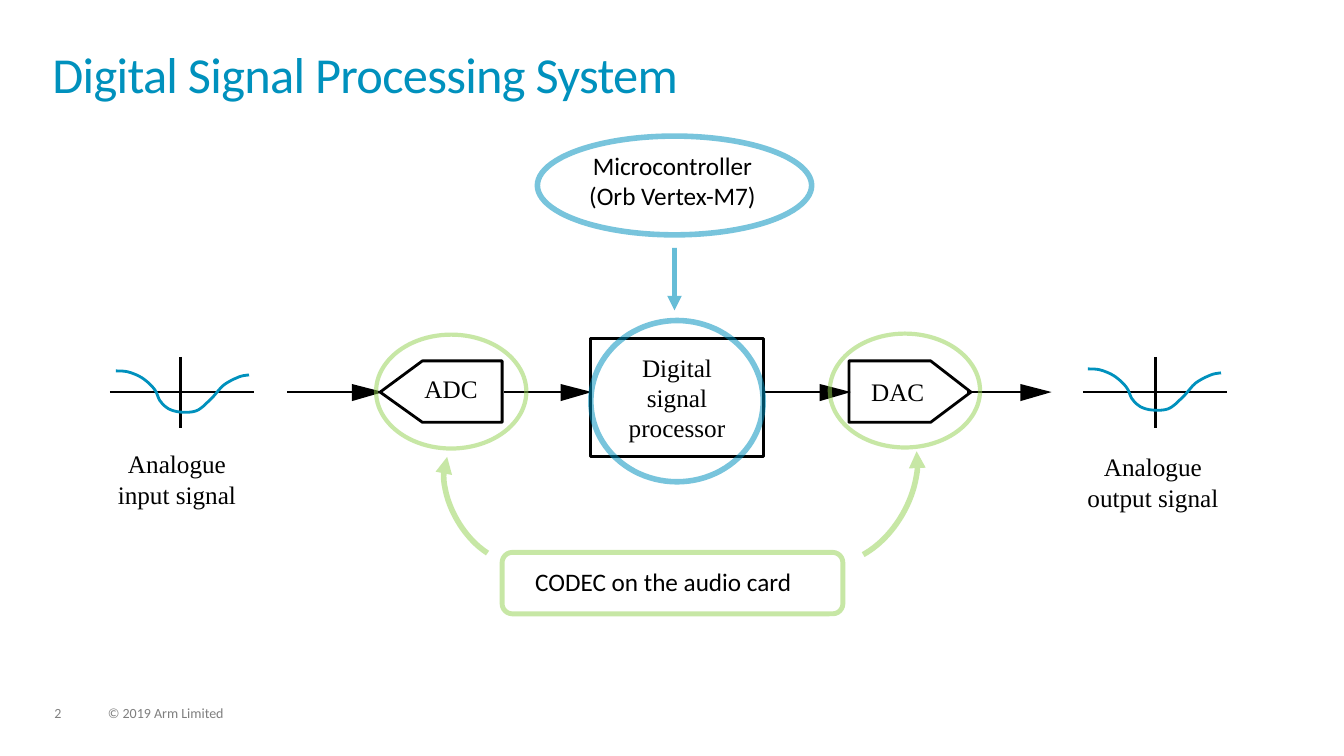
from lxml import etree
from pptx import Presentation
from pptx.dml.color import RGBColor
from pptx.enum import shapes, text
from pptx.oxml.ns import qn
from pptx.util import Inches, Pt

BLUE = RGBColor(0x00, 0x91, 0xBD)
GREEN = RGBColor(0x92, 0xD0, 0x50)
BLACK = RGBColor(0, 0, 0)
WHITE = RGBColor(0xFF, 0xFF, 0xFF)
GREY = RGBColor(0x7F, 0x7F, 0x7F)
SANS, SERIF = "Calibri", "Times New Roman"
CENTER = text.PP_ALIGN.CENTER
PRESET = shapes.MSO_SHAPE

FLOW_Y = 3.89
UNITS = 1000  # freeform units per inch
WAVE_KNOTS = [(0, 0), (.12, .01), (.26, .07), (.38, .18), (.44, .30), (.53, .38),
              (.66, .41), (.81, .39), (.95, .27), (1.07, .14), (1.22, .06), (1.32, .04)]


def style_line(shape, color, width, opacity=100, head=None):
    """Set the outline; head is "headEnd" or "tailEnd" for an arrow at that end."""
    shape.line.color.rgb = color
    shape.line.width = Pt(width)
    line = shape.line._get_or_add_ln()
    if opacity < 100:
        tint = line.find(".//" + qn("a:srgbClr"))
        etree.SubElement(tint, qn("a:alpha"), val=str(opacity * 1000))
    if head:
        etree.SubElement(line, qn(f"a:{head}"), type="triangle")


def add_line(slide, start, end, color, width, opacity=100, head=None):
    line = slide.shapes.add_connector(
        shapes.MSO_CONNECTOR.STRAIGHT, *(Inches(value) for value in start + end))
    style_line(line, color, width, opacity, head)
    etree.SubElement(line._element.spPr, qn("a:effectLst"))


def add_outline(slide, preset, box, color, width, opacity=100, head=None):
    shape = slide.shapes.add_shape(preset, *(Inches(value) for value in box))
    shape.shadow.inherit = False
    shape.fill.background()
    style_line(shape, color, width, opacity, head)
    return shape


def add_freeform(slide, points, closed=True):
    start, *rest = [(x * UNITS, y * UNITS) for x, y in points]
    builder = slide.shapes.build_freeform(*start, scale=Inches(1) / UNITS)
    builder.add_line_segments(rest, close=closed)
    shape = builder.convert_to_shape()
    shape.shadow.inherit = False
    return shape


def add_text(slide, box, lines, font=SERIF, size=18, color=BLACK, align=None,
             wrap=False, inset=(0, 0), spacing=None):
    frame = slide.shapes.add_textbox(*(Inches(value) for value in box)).text_frame
    frame.word_wrap = wrap
    frame.margin_left = frame.margin_right = Inches(inset[0])
    frame.margin_top = frame.margin_bottom = Inches(inset[1])
    for index, line in enumerate(lines):
        paragraph = frame.add_paragraph() if index else frame.paragraphs[0]
        paragraph.alignment = align
        paragraph.line_spacing = spacing
        run = paragraph.add_run()
        run.text = line
        run.font.name, run.font.size = font, Pt(size)
        run.font.color.rgb = color


def smooth_curve(knots, steps=8):
    """Catmull-Rom points through the knots."""
    padded = [knots[0], *knots, knots[-1]]
    points = [knots[0]]
    for a, b, c, d in zip(padded, padded[1:], padded[2:], padded[3:]):
        for step in range(1, steps + 1):
            t = step / steps
            points.append(tuple(
                (2 * q + (r - p) * t + (2 * p - 5 * q + 4 * r - s) * t ** 2
                 + (3 * q - p - 3 * r + s) * t ** 3) / 2
                for p, q, r, s in zip(a, b, c, d)))
    return points


def add_title(slide):
    title = slide.shapes.title
    title.left, title.top = Inches(.52), Inches(.52)
    title.width, title.height = Inches(12.28), Inches(.72)
    frame = title.text_frame
    frame.margin_left = frame.margin_right = frame.margin_top = frame.margin_bottom = 0
    frame.vertical_anchor = text.MSO_ANCHOR.TOP
    frame.auto_size = text.MSO_AUTO_SIZE.NONE
    paragraph = frame.paragraphs[0]
    paragraph.alignment = text.PP_ALIGN.LEFT
    paragraph.line_spacing = .85
    run = paragraph.add_run()
    run.text = "Digital Signal Processing System"
    run.font.name, run.font.size = SANS, Pt(36)
    run.font.color.rgb = BLUE
    run.font._element.set("spc", "-50")


def add_footer(slide, top):
    for left, width, words in ((.54, .34, "2"), (1.07, 5.07, "© 2019 Arm Limited")):
        add_text(slide, (left, top, width, .15), [words], SANS, 10, GREY,
                 wrap=True, spacing=.9)


def add_signal(slide, left, axis, wave, caption_at, caption):
    """Axes, wave and caption; axis, wave and caption_at are offsets from left, FLOW_Y."""
    add_line(slide, (left + axis, FLOW_Y - .35), (left + axis, FLOW_Y + .36), BLACK, 1.5)
    add_line(slide, (left, FLOW_Y), (left + 1.43, FLOW_Y), BLACK, 1.5)
    curve = add_freeform(slide, [(left + wave[0] + x, FLOW_Y + wave[1] + y)
                                 for x, y in smooth_curve(WAVE_KNOTS)], closed=False)
    curve.fill.background()
    style_line(curve, BLUE, 2)
    add_text(slide, (left + caption_at[0], FLOW_Y + caption_at[1], 1.41, .61),
             [caption], align=CENTER, wrap=True)


def add_converter(slide, flat_x, shoulder_x, tip_x, label_at, label):
    top, bottom = FLOW_Y - .31, FLOW_Y + .3
    shape = add_freeform(slide, [(flat_x, bottom), (flat_x, top), (shoulder_x, top),
                                 (tip_x, FLOW_Y), (shoulder_x, bottom)])
    shape.fill.solid()
    shape.fill.fore_color.rgb = WHITE
    style_line(shape, BLACK, 2)
    add_text(slide, (*label_at, .53, .3), [label])


def add_processor(slide, left, top, width):
    box = add_outline(slide, PRESET.RECTANGLE, (left, top, width, 1.17), BLACK, 2)
    box.fill.solid()
    box.fill.fore_color.rgb = WHITE
    add_text(slide, (left, top + .13, width, 1.51), ["Digital", "signal", "processor"],
             align=CENTER, wrap=True)


def add_flow_arrow(slide, start, tip):
    base = tip - .31
    head = add_freeform(slide, [(tip, FLOW_Y), (base, FLOW_Y + .09), (base, FLOW_Y - .08)])
    head.fill.solid()
    head.fill.fore_color.rgb = BLACK
    head.line.fill.background()
    add_line(slide, (start, FLOW_Y), (tip - .08, FLOW_Y), BLACK, 2)


def add_codec_callout(slide, left, top):
    add_text(slide, (left + .23, top + .09, 2.96, .4), ["CODEC on the audio card"],
             SANS, inset=(.1, .05))
    for ring in ((3.73, 3.32, 1.49, 1.13), (8.23, 3.31, 1.49, 1.13)):
        add_outline(slide, PRESET.OVAL, ring, GREEN, 3, 51)
    arcs = (((4.22, 4.58, 1.31, .78), 239.4, (128.97, 207.28), "tailEnd"),
            ((7.75, 4.37, 1.55, .98), 300.1, (15.5, 88.02), "headEnd"))
    for box, rotation, angles, head in arcs:
        arc = add_outline(slide, PRESET.ARC, box, GREEN, 4, 51, head)
        arc.rotation = rotation
        arc.adjustments[0], arc.adjustments[1] = angles
    add_outline(slide, PRESET.ROUNDED_RECTANGLE, (left, top, 3.38, .61), GREEN, 3.5, 51)


def add_microcontroller_callout(slide, left, top):
    add_text(slide, (left + .37, top + .09, 1.94, .71),
             ["Microcontroller", "(Orb Vertex-M7)"], SANS, align=CENTER, inset=(.1, .05))
    for ring in ((left, top, 2.72, .98), (left + .53, top + 1.83, 1.71, 1.6)):
        add_outline(slide, PRESET.OVAL, ring, BLUE, 4, 53)
    add_line(slide, (left + 1.36, top + 1.11), (left + 1.36, top + 1.73),
             BLUE, 3.5, 60, "tailEnd")


def main():
    presentation = Presentation()
    presentation.slide_width, presentation.slide_height = Inches(13.33), Inches(7.5)
    slide = presentation.slides.add_slide(presentation.slide_layouts[5])
    add_footer(slide, 7.01)
    add_title(slide)
    add_converter(slide, 4.98, 4.19, 3.77, (4.21, 3.7), "ADC")
    add_converter(slide, 8.42, 9.23, 9.63, (8.64, 3.73), "DAC")
    add_processor(slide, 5.86, 3.36, 1.71)
    for start, tip in ((2.85, 3.8), (5, 5.87), (7.58, 8.44), (9.59, 10.43)):
        add_flow_arrow(slide, start, tip)
    add_signal(slide, 1.09, .7, (.06, -.21), (-.04, .56), "Analogue input signal")
    add_signal(slide, 10.74, .72, (.05, -.23), (-.01, .59), "Analogue output signal")
    add_codec_callout(slide, 4.98, 5.48)
    add_microcontroller_callout(slide, 5.33, 1.35)
    presentation.save("out.pptx")


if __name__ == "__main__":
    main()
